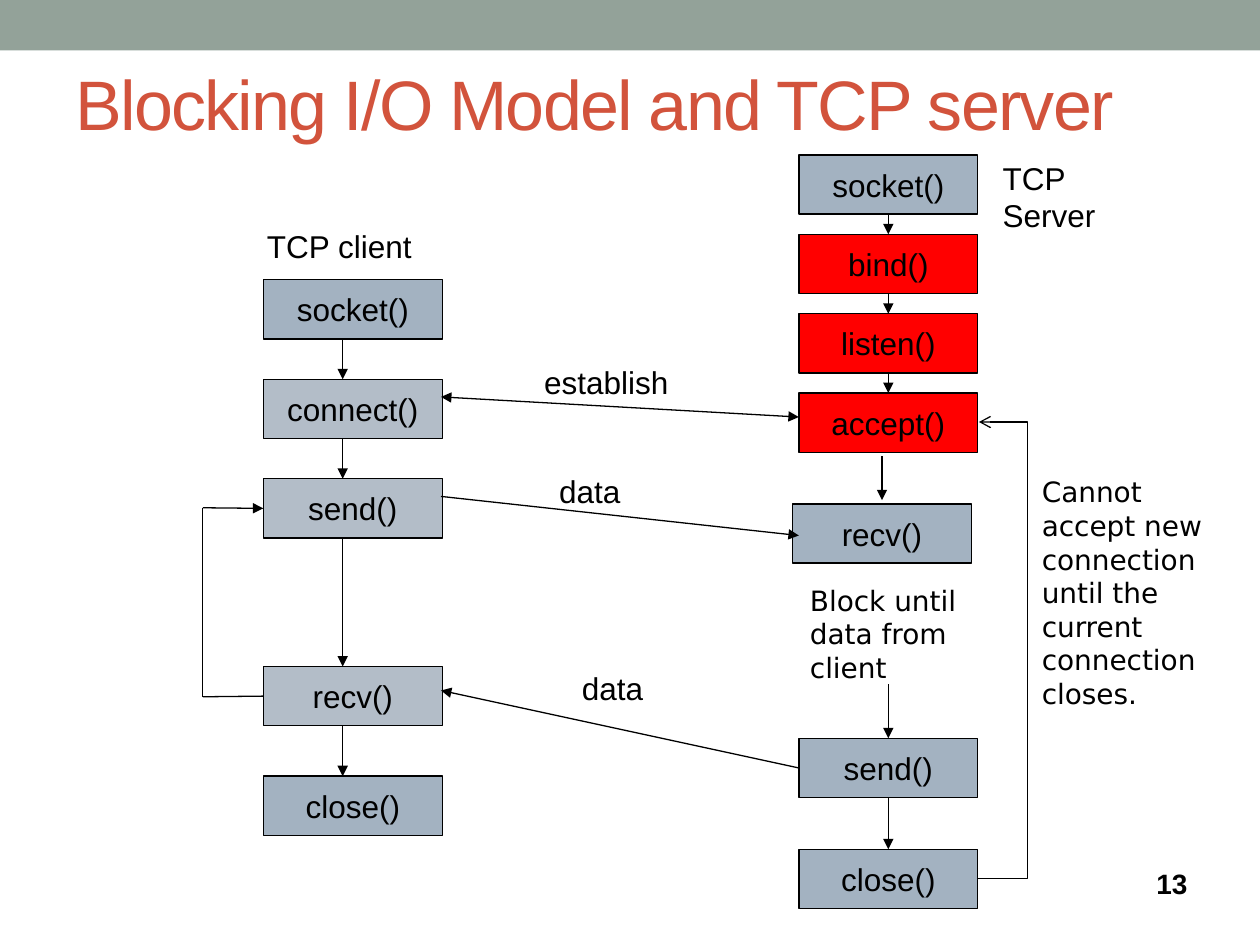
from dataclasses import dataclass

from lxml import etree
from pptx import Presentation
from pptx.dml.color import RGBColor
from pptx.enum.shapes import MSO_CONNECTOR, MSO_SHAPE
from pptx.enum.text import MSO_ANCHOR, MSO_AUTO_SIZE, PP_ALIGN
from pptx.oxml.ns import qn
from pptx.util import Emu, Pt

PX = 9144  # 100 px to the inch
RECT = MSO_SHAPE.RECTANGLE
LINE, ELBOW = MSO_CONNECTOR.STRAIGHT, MSO_CONNECTOR.ELBOW
LEFT, CENTER = PP_ALIGN.LEFT, PP_ALIGN.CENTER
TOP, MIDDLE = MSO_ANCHOR.TOP, MSO_ANCHOR.MIDDLE
NO_FIT = MSO_AUTO_SIZE.NONE
N, W, S, E = range(4)  # connection sites of a rectangle


@dataclass(frozen=True)
class Theme:
    band: str = "93A299"
    title: str = "D2533C"
    ink: str = "000000"
    steel: str = "A3B2C1"
    pale: str = "B3BDC8"
    red: str = "FF0000"
    font: str = "Arial"
    note_font: str = "DejaVu Sans"
    title_size: int = 40
    size: int = 18
    note_size: int = 16
    stroke: float = 0.75


def px(*vals):
    return [Emu(v * PX) for v in vals]


def rgb(code):
    return RGBColor.from_string(code)


class Deck:
    def __init__(self, theme):
        self.theme = theme
        self.prs = Presentation()
        self.prs.slide_width, self.prs.slide_height = px(1000, 750)
        self.slide = self.prs.slides.add_slide(self.prs.slide_layouts[5])
        self.shapes = self.slide.shapes

    def label(self, shape, words, size, color, font, align=LEFT, anchor=TOP):
        frame = shape.text_frame
        frame.word_wrap = True
        frame.auto_size = NO_FIT
        frame.vertical_anchor = anchor
        para = frame.paragraphs[0]
        para.alignment = align
        run = para.add_run()
        run.text = words
        run.font.size = Pt(size)
        run.font.name = font
        run.font.color.rgb = rgb(color)
        return run

    def title(self, words, *at):
        th, shape = self.theme, self.shapes.title
        shape.left, shape.top, shape.width, shape.height = px(*at)
        run = self.label(shape, words, th.title_size, th.title, th.font,
                         anchor=MIDDLE)
        run.font._element.set("spc", "-100")

    def rect(self, fill, *at):
        shape = self.shapes.add_shape(RECT, *px(*at))
        shape.shadow.inherit = False
        shape.fill.solid()
        shape.fill.fore_color.rgb = rgb(fill)
        shape.line.fill.background()
        return shape

    def call(self, name, fill, x, y):
        """Add the box of one socket call."""
        th = self.theme
        shape = self.rect(fill, x, y, 142, 47)
        shape.line.color.rgb = rgb(th.ink)
        shape.line.width = Pt(th.stroke)
        self.label(shape, name, th.size, th.ink, th.font, CENTER, MIDDLE)
        return shape

    def text(self, words, *at, size=None, font=None, anchor=TOP):
        th = self.theme
        shape = self.shapes.add_textbox(*px(*at))
        return self.label(shape, words, size or th.size, th.ink,
                          font or th.font, anchor=anchor)

    def note(self, words, *at):
        th = self.theme
        self.text(words, *at, size=th.note_size, font=th.note_font)

    def link(self, start, end, head=None, tail="triangle", kind=LINE):
        """Join two ends, each an (x, y) point or a (box, site) pair."""
        joins = [not isinstance(spot[0], int) for spot in (start, end)]
        points = [(0, 0) if join else spot
                  for join, spot in zip(joins, (start, end))]
        wire = self.shapes.add_connector(kind, *px(*points[0], *points[1]))
        if joins[0]:
            wire.begin_connect(*start)
        if joins[1]:
            wire.end_connect(*end)
        wire.line.color.rgb = rgb(self.theme.ink)
        wire.line.width = Pt(self.theme.stroke)
        for tag, mark in (("a:headEnd", head), ("a:tailEnd", tail)):
            if mark:
                etree.SubElement(wire.line._get_or_add_ln(), qn(tag), type=mark)
        etree.SubElement(wire._element.spPr, qn("a:effectLst"))
        return wire

    def elbow(self, start, end, out):
        """Add a bent arrow that first runs `out` px past its start."""
        wire = self.link(start, end, tail="arrow", kind=ELBOW)
        guides = wire._element.spPr.find(qn("a:prstGeom")).find(qn("a:avLst"))
        ratio = round(out * PX / wire.width * 100000)
        etree.SubElement(guides, qn("a:gd"), name="adj1", fmla=f"val {ratio}")


def main():
    th = Theme()
    deck = Deck(th)
    deck.rect(th.band, 0, 0, 1000, 40)
    deck.title("Blocking I/O Model and TCP server", 50, 38, 900, 87)

    client = {name: deck.call(name, fill, 209, y) for name, fill, y in (
        ("socket()", th.steel, 222), ("connect()", th.pale, 301),
        ("send()", th.pale, 380), ("recv()", th.pale, 529),
        ("close()", th.steel, 616))}
    server = {name: deck.call(name, fill, x, y) for name, fill, x, y in (
        ("socket()", th.steel, 634, 123), ("bind()", th.red, 634, 186),
        ("listen()", th.red, 634, 249), ("accept()", th.red, 634, 312),
        ("recv()", th.steel, 629, 400), ("send()", th.steel, 634, 586),
        ("close()", th.steel, 634, 674))}

    # Steps down the client side
    for top, low in ((269, 301), (348, 380), (427, 529), (576, 616)):
        deck.link((272, top), (272, low))

    # Steps down the server side
    for a, b in (("socket()", "bind()"), ("bind()", "listen()"),
                 ("listen()", "accept()"), ("send()", "close()")):
        deck.link((server[a], S), (server[b], N))
    deck.link((700, 362), (700, 397))
    deck.link((705, 543), (server["send()"], N))

    # Client loop from recv() back to send()
    deck.link((client["recv()"], W), (161, 553), tail=None)
    deck.link((161, 553), (161, 403), tail=None)
    deck.link((161, 403), (client["send()"], W))

    # Traffic between the two sides
    deck.link((350, 315), (634, 331), head="triangle")
    deck.link((350, 394), (634, 425))
    deck.link((server["send()"], W), (350, 548))

    # Server loop from close() back to accept()
    deck.elbow((server["close()"], E), (777, 335), 40)

    for words, x, y, wide in (
            ("TCP client", 202, 175, 145), ("TCP Server", 786, 121, 145),
            ("establish", 422, 283, 132), ("data", 434, 370, 70),
            ("data", 452, 526, 70)):
        deck.text(words, x, y, wide, 40)
    deck.note("Block until data from client", 633, 458, 192, 91)
    deck.note("Cannot accept new connection until the current connection "
              "closes.", 817, 372, 167, 199)
    number = deck.text("13", 908, 683, 67, 36, size=th.note_size, anchor=MIDDLE)
    number.font.bold = True

    deck.prs.save("out.pptx")


if __name__ == "__main__":
    main()
